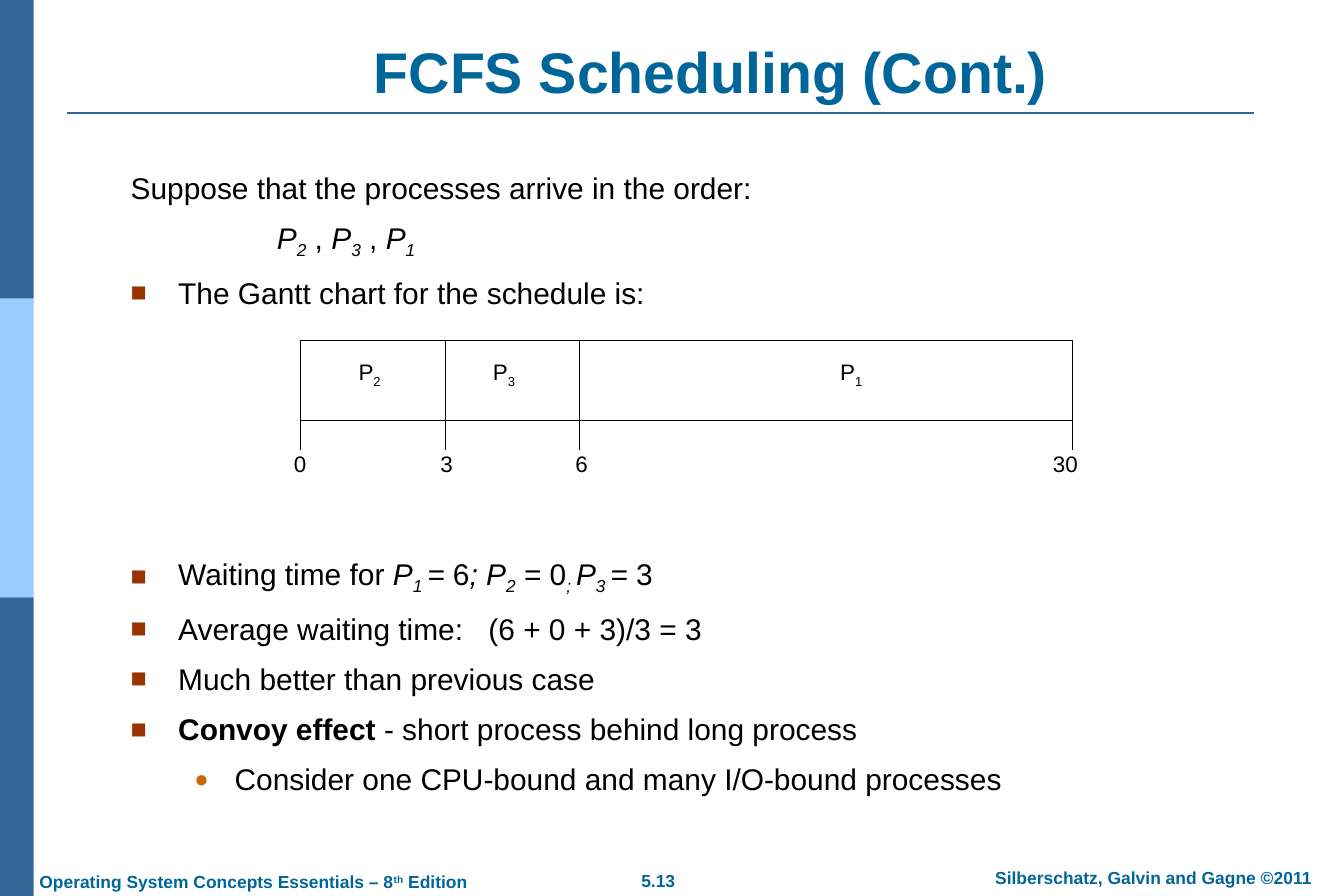
from dataclasses import dataclass

from lxml import etree
from pptx import Presentation
from pptx import util as u
from pptx.dml.color import RGBColor
from pptx.enum import shapes, text
from pptx.oxml import ns

SUB, SUPER = -25, 30


@dataclass(frozen=True)
class Theme:
    font: str = "Arial"
    ink: str = "000000"
    paper: str = "FFFFFF"
    heading: str = "006699"
    bar: str = "336699"
    bar_light: str = "99CCFF"
    square: str = "993300"
    dot: str = "CC6600"
    title_size: float = 46
    body_size: float = 24
    label_size: float = 18
    footer_size: float = 14


class SlideBuilder:
    def __init__(self, slide, theme):
        self.slide = slide
        self.theme = theme

    def fill_runs(self, paragraph, runs, size, color, bold=False):
        """Each run is (text, style, baseline); style may hold b and i."""
        for words, style, baseline in runs:
            run = paragraph.add_run()
            run.text = words
            run.font.name = self.theme.font
            run.font.size = u.Pt(size)
            run.font.bold = bold or "b" in style
            run.font.italic = "i" in style
            run.font.color.rgb = RGBColor.from_string(color)
            if baseline:
                run.font._element.set("baseline", str(baseline * 1000))

    def frame(self, shape, box, anchor, insets):
        """Place a shape and set up its text frame."""
        shape.left, shape.top, shape.width, shape.height = map(u.Pt, box)
        frame = shape.text_frame
        frame.word_wrap = True
        frame.auto_size = text.MSO_AUTO_SIZE.NONE
        frame.vertical_anchor = anchor
        frame.margin_left = frame.margin_right = u.Pt(insets[0])
        frame.margin_top = frame.margin_bottom = u.Pt(insets[1])
        return frame

    def title(self, words, box):
        frame = self.frame(self.slide.shapes.title, box, text.MSO_ANCHOR.BOTTOM, (10, 5))
        heading = frame.paragraphs[0]
        heading.alignment = text.PP_ALIGN.CENTER
        self.fill_runs(heading, [(words, "", 0)], self.theme.title_size, self.theme.heading, True)

    def bullet(self, paragraph, mark, margin, indent):
        """Set the indents and the mark, a (character, colour, percent) or None."""
        props = paragraph._p.get_or_add_pPr()
        props.set("marL", str(u.Pt(margin)))
        props.set("indent", str(u.Pt(indent)))
        if mark is None:
            etree.SubElement(props, ns.qn("a:buNone"))
            return
        char, color, percent = mark
        holder = etree.SubElement(props, ns.qn("a:buClr"))
        etree.SubElement(holder, ns.qn("a:srgbClr"), val=color)
        etree.SubElement(props, ns.qn("a:buSzPct"), val=str(percent * 1000))
        etree.SubElement(props, ns.qn("a:buFont"), typeface=self.theme.font)
        etree.SubElement(props, ns.qn("a:buChar"), char=char)

    def tab_stop(self, paragraph, position):
        tabs = etree.SubElement(paragraph._p.get_or_add_pPr(), ns.qn("a:tabLst"))
        etree.SubElement(tabs, ns.qn("a:tab"), pos=str(u.Pt(position)), algn="l")

    def body(self, items, box):
        """Each item is (runs, kind, space before, tab stop or None)."""
        kinds = {
            "plain": (0, None, 0, 0),
            "order": (0, None, 117.5, 0),
            "square": (0, ("■", self.theme.square, 90), 38.2, -38.2),
            "dot": (1, ("●", self.theme.dot, 80), 83.5, -32.4),
        }
        frame = self.frame(self.slide.placeholders[1], box, text.MSO_ANCHOR.TOP, (10, 5))
        for index, (runs, kind, gap, tab) in enumerate(items):
            paragraph = frame.add_paragraph() if index else frame.paragraphs[0]
            level, mark, margin, indent = kinds[kind]
            paragraph.level = level
            self.bullet(paragraph, mark, margin, indent)
            if tab:
                self.tab_stop(paragraph, tab)
            paragraph.space_before = u.Pt(gap)
            self.fill_runs(paragraph, runs, self.theme.body_size, self.theme.ink)

    def label(self, runs, box, size, color, bold=False, align=text.PP_ALIGN.CENTER,
              anchor=text.MSO_ANCHOR.MIDDLE, insets=(0, 0)):
        shape = self.slide.shapes.add_textbox(*map(u.Pt, box))
        paragraph = self.frame(shape, box, anchor, insets).paragraphs[0]
        paragraph.alignment = align
        self.fill_runs(paragraph, runs, size, color, bold)

    def rect(self, box, fill, line=None):
        shape = self.slide.shapes.add_shape(shapes.MSO_SHAPE.RECTANGLE, *map(u.Pt, box))
        shape.shadow.inherit = False
        shape.fill.solid()
        shape.fill.fore_color.rgb = RGBColor.from_string(fill)
        if line:
            shape.line.color.rgb = RGBColor.from_string(line)
            shape.line.width = u.Pt(0.75)
        else:
            shape.line.fill.background()

    def line(self, start, end, color, width=0.75):
        rule = self.slide.shapes.add_connector(
            shapes.MSO_CONNECTOR.STRAIGHT, *map(u.Pt, start + end))
        rule.line.color.rgb = RGBColor.from_string(color)
        rule.line.width = u.Pt(width)
        etree.SubElement(rule._element.spPr, ns.qn("a:effectLst"))

    def gantt(self, times, processes, top, bottom, tick_end):
        """times: (label, x, label centre); processes: (index, label centre)."""
        ink, size = self.theme.ink, self.theme.label_size
        left, right = times[0][1], times[-1][1]
        self.rect((left, top, right - left, bottom - top), self.theme.paper, ink)
        for number, centre in processes:
            self.label([("P", "", 0), (number, "", SUB)], (centre - 20, 284.4, 40, 31.7), size, ink)
        for time, x, centre in times:
            if left < x < right:
                self.line((x, top), (x, bottom), ink)
            self.line((x, bottom), (x, tick_end), ink)
            self.label([(time, "", 0)], (centre - 20, 357.8, 40, 28.8), size, ink)


def process(number, after=""):
    return [("P", "i", 0), (number + after, "i", SUB)]


def main():
    deck = Presentation()
    deck.slide_width, deck.slide_height = u.Pt(1080), u.Pt(720)
    theme = Theme()
    page = SlideBuilder(deck.slides.add_slide(deck.slide_layouts[1]), theme)

    for row, color in enumerate((theme.bar, theme.bar_light, theme.bar)):
        page.rect((0, row * 240, 27, 240), color)
    page.line((54, 90.5), (1008, 90.5), theme.bar, 1.5)
    page.title("FCFS Scheduling (Cont.)", (116, 28.8, 910, 60.5))

    comma = [(" , ", "", 0)]
    waiting = [("Waiting time for ", "", 0), *process("1", " "), ("=", "i", 0), (" 6", "", 0),
               ("; ", "i", 0), *process("2"), (" = 0", "", 0), ("; ", "i", SUB),
               *process("3", " "), ("= ", "i", 0), ("3", "", 0)]
    gap = 11.5
    page.body([
        ([("Suppose that the processes arrive in the order:", "", 0)], "plain", 0, None),
        (process("2") + comma + process("3") + comma + process("1"), "order", gap, None),
        ([("The Gantt chart for the schedule is:", "", 0)], "square", gap, None),
        (waiting, "square", 197, None),
        ([("Average waiting time:\t(6 + 0 + 3)/3 = 3", "", 0)], "square", gap, 287.5),
        ([("Much better than previous case", "", 0)], "square", gap, None),
        ([("Convoy effect ", "b", 0), ("- short process behind long process", "", 0)],
         "square", gap, None),
        ([("Consider one CPU-bound and many I/O-bound processes", "", 0)], "dot", gap, None),
    ], (95, 131, 972, 508))

    page.gantt(
        times=[("0", 241.2, 241.2), ("3", 357.8, 358.9), ("6", 465.8, 467.3), ("30", 861.8, 856)],
        processes=[("2", 297), ("3", 405), ("1", 684)],
        top=273.6, bottom=337.7, tick_end=361.4)

    edition = [("Operating System Concepts Essentials – 8", "", 0), ("th", "", SUPER),
               (" Edition", "", 0)]
    for runs, box, align in (
            (edition, (21.6, 694.8, 364, 25), text.PP_ALIGN.LEFT),
            ([("5.13", "", 0)], (479, 694, 100, 25), text.PP_ALIGN.CENTER),
            ([("Silberschatz, Galvin and Gagne ©2011", "", 0)], (774, 692, 306, 27),
             text.PP_ALIGN.CENTER)):
        page.label(runs, box, theme.footer_size, theme.heading, True, align,
                   text.MSO_ANCHOR.TOP, (10, 5))

    deck.save("out.pptx")


if __name__ == "__main__":
    main()
